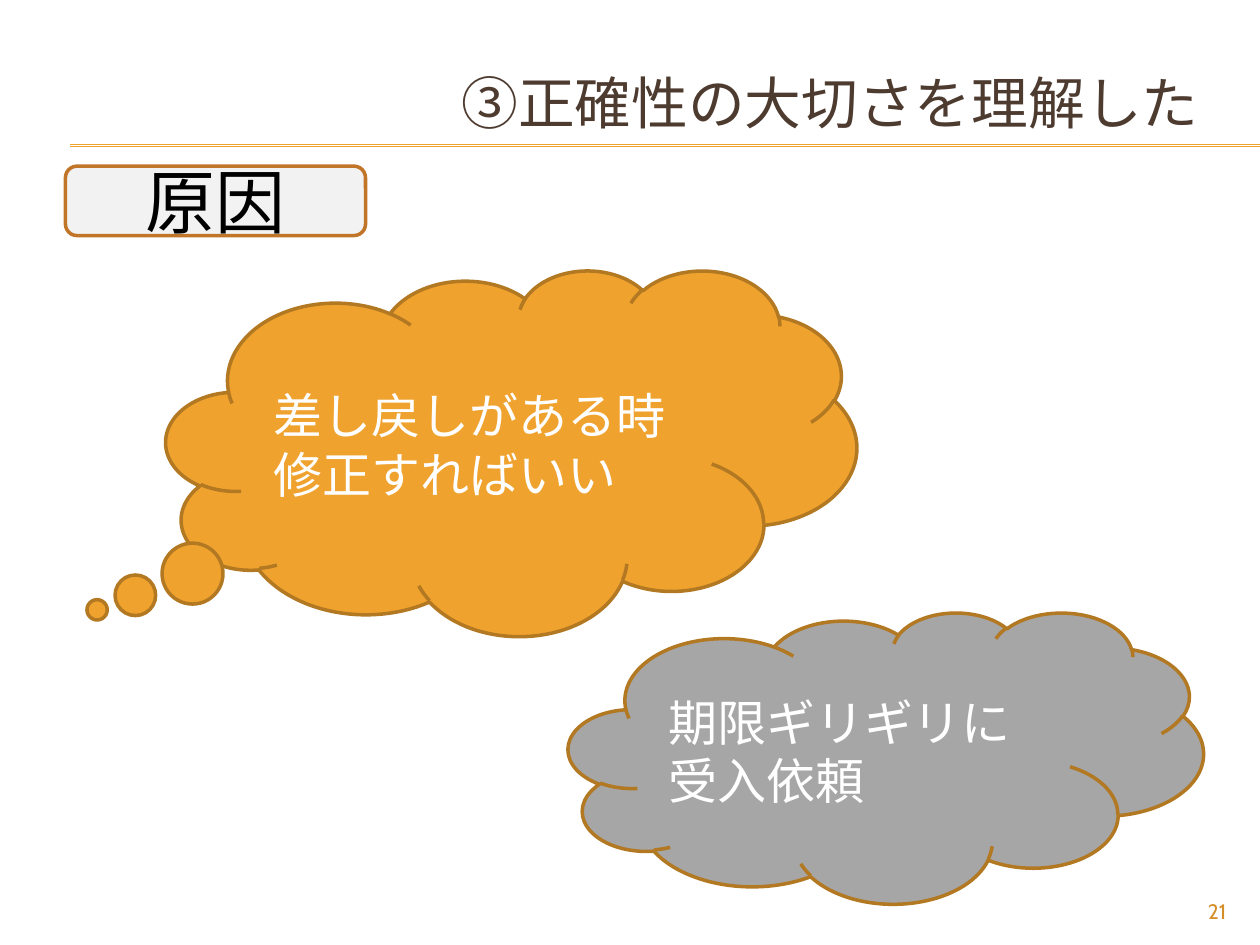
"""Build the slide on why accuracy matters, with its two cloud-shaped causes."""
from dataclasses import dataclass

from lxml import etree
from pptx import Presentation
from pptx.dml.color import RGBColor
from pptx.enum.shapes import MSO_CONNECTOR, MSO_SHAPE
from pptx.enum.text import MSO_ANCHOR, PP_ALIGN
from pptx.oxml.ns import qn
from pptx.slide import Slide
from pptx.text.text import TextFrame
from pptx.util import Cm, Pt

CLOUD = MSO_SHAPE.CLOUD
CLOUD_CALLOUT = MSO_SHAPE.CLOUD_CALLOUT
ROUNDED = MSO_SHAPE.ROUNDED_RECTANGLE
STRAIGHT = MSO_CONNECTOR.STRAIGHT
LEFT, CENTER, RIGHT = PP_ALIGN.LEFT, PP_ALIGN.CENTER, PP_ALIGN.RIGHT
TOP, MIDDLE, BOTTOM = MSO_ANCHOR.TOP, MSO_ANCHOR.MIDDLE, MSO_ANCHOR.BOTTOM

FONT = "Cabin"
WHITE = RGBColor(0xFF, 0xFF, 0xFF)
BLACK = RGBColor(0x00, 0x00, 0x00)
BROWN = RGBColor(0x4E, 0x3B, 0x30)
ORANGE = RGBColor(0xF0, 0xA2, 0x2E)
DARK_ORANGE = RGBColor(0xD4, 0x8F, 0x29)
CLOUD_EDGE = RGBColor(0xB2, 0x78, 0x22)
LABEL_EDGE = RGBColor(0xC1, 0x75, 0x29)
GRAY = RGBColor(0xA6, 0xA6, 0xA6)
LIGHT_GRAY = RGBColor(0xF2, 0xF2, 0xF2)


@dataclass(frozen=True)
class Area:
    """Position and size in centimetres."""

    left: float
    top: float
    width: float
    height: float

    def lengths(self) -> tuple[Cm, Cm, Cm, Cm]:
        """Return the four values as lengths."""
        return Cm(self.left), Cm(self.top), Cm(self.width), Cm(self.height)


@dataclass(frozen=True)
class Wording:
    """Text and the way it is set."""

    text: str
    size: float
    color: RGBColor
    align: PP_ALIGN = LEFT
    anchor: MSO_ANCHOR = MIDDLE


@dataclass(frozen=True)
class Panel:
    """A filled shape that holds text."""

    kind: MSO_SHAPE
    area: Area
    fill: RGBColor
    edge: RGBColor
    wording: Wording
    adjustments: tuple[float, ...] = ()


RULE_LEFT, RULE_RIGHT = 1.42, 25.4
RULE_TOPS = (2.92, 2.95)
TITLE = Wording("③正確性の大切さを理解した", 32.4, BROWN, RIGHT, BOTTOM)
PAGE_NUMBER = Wording("21", 12, DARK_ORANGE, RIGHT, TOP)
PANELS = (
    Panel(CLOUD, Area(11.46, 12.34, 12.8, 5.87), GRAY, CLOUD_EDGE,
          Wording("期限ギリギリに受入依頼", 28, WHITE)),
    Panel(CLOUD_CALLOUT, Area(3.35, 5.44, 13.92, 7.37), ORANGE, CLOUD_EDGE,
          Wording("差し戻しがある時\n修正すればいい", 28, WHITE), (-0.6, 0.43)),
    Panel(ROUNDED, Area(1.32, 3.35, 6.05, 1.4), LIGHT_GRAY, LABEL_EDGE,
          Wording("原因", 40, BLACK, CENTER)),
)


def write(frame: TextFrame, wording: Wording) -> None:
    """Put the wording into a text frame and format it."""
    frame.text = wording.text
    frame.word_wrap = True
    frame.vertical_anchor = wording.anchor
    for para in frame.paragraphs:
        para.alignment = wording.align
        for span in para.runs:
            span.font.name = FONT
            span.font.size = Pt(wording.size)
            span.font.color.rgb = wording.color


def draw_rule(page: Slide, top: float) -> None:
    """Draw a thin horizontal rule below the title."""
    rule = page.shapes.add_connector(
        STRAIGHT, Cm(RULE_LEFT), Cm(top), Cm(RULE_RIGHT), Cm(top))
    rule.line.color.rgb = ORANGE
    rule.line.width = Pt(0.75)
    etree.SubElement(rule._element.spPr, qn("a:effectLst"))


def draw_text(page: Slide, area: Area, wording: Wording) -> TextFrame:
    """Draw a text box and return its frame."""
    box = page.shapes.add_textbox(*area.lengths())
    write(box.text_frame, wording)
    return box.text_frame


def draw_panel(page: Slide, panel: Panel) -> None:
    """Draw a filled shape with its text."""
    shape = page.shapes.add_shape(panel.kind, *panel.area.lengths())
    shape.shadow.inherit = False
    for index, value in enumerate(panel.adjustments):
        shape.adjustments[index] = value
    shape.fill.solid()
    shape.fill.fore_color.rgb = panel.fill
    shape.line.color.rgb = panel.edge
    shape.line.width = Pt(2)
    write(shape.text_frame, panel.wording)


def main() -> None:
    """Build and save the deck."""
    deck = Presentation()
    deck.slide_width, deck.slide_height = Cm(25.4), Cm(19.05)
    page = deck.slides.add_slide(deck.slide_layouts[6])
    for top in RULE_TOPS:
        draw_rule(page, top)
    draw_text(page, Area(22.86, 17.98, 2.11, 0.69), PAGE_NUMBER)
    for panel in PANELS:
        draw_panel(page, panel)
    title = draw_text(page, Area(8.97, 2.06, 15.44, 1.32), TITLE)
    title.margin_bottom = Cm(0.64)
    deck.save("out.pptx")


if __name__ == "__main__":
    main()
